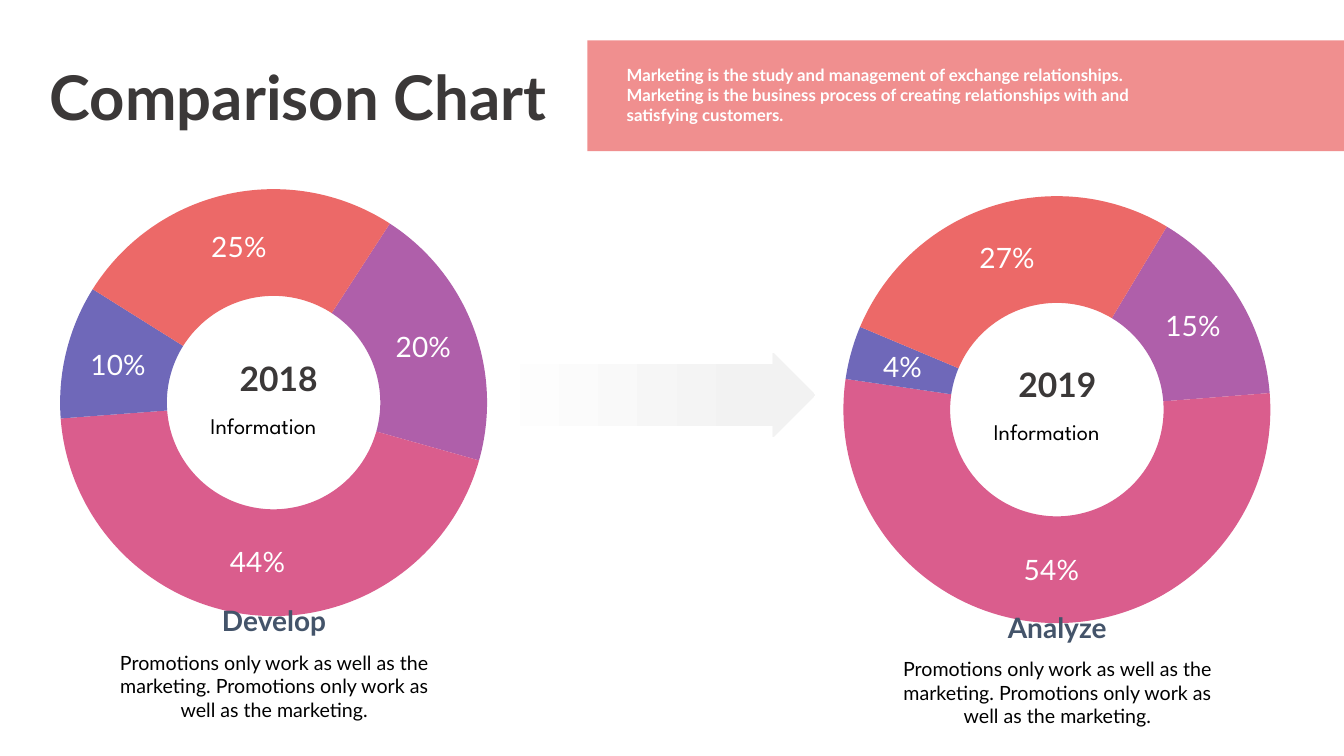
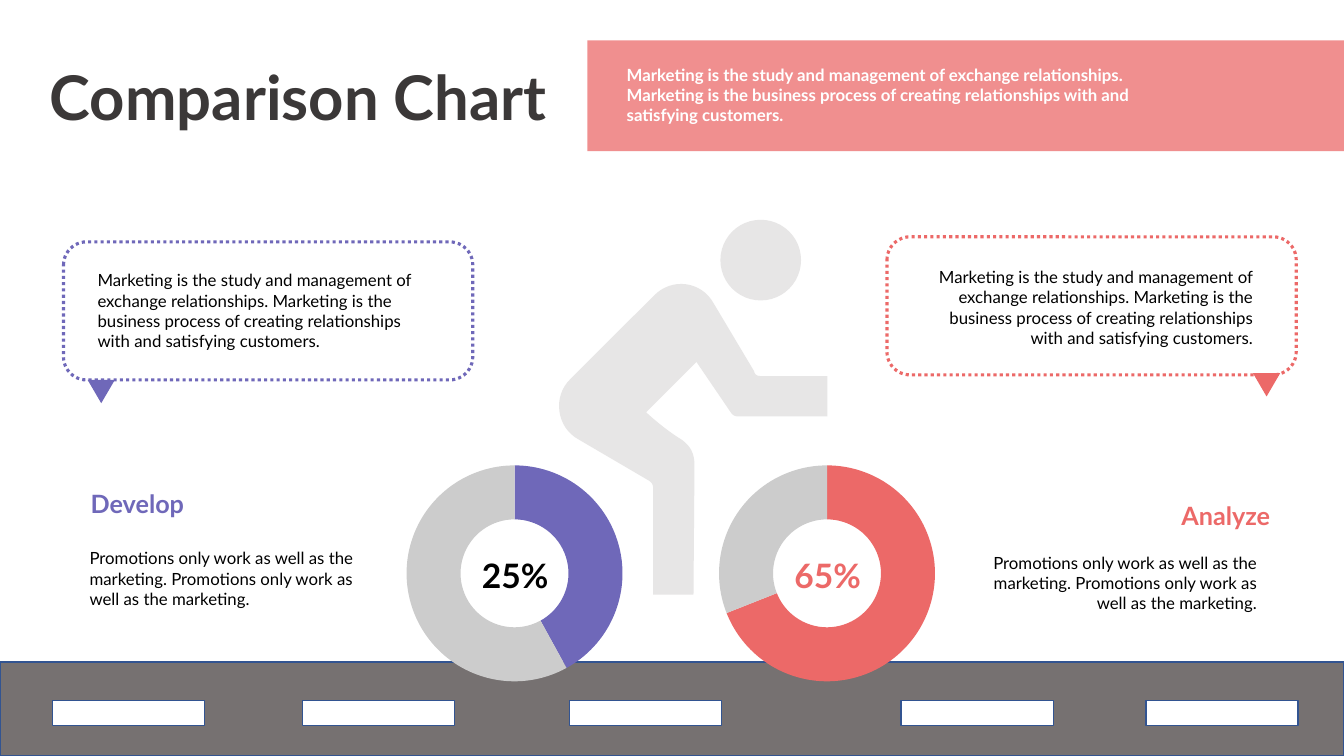
from lxml.etree import SubElement
from pptx import Presentation
from pptx.chart.data import CategoryChartData
from pptx.dml.color import RGBColor
from pptx.enum.chart import XL_CHART_TYPE as ChartType
from pptx.enum.dml import MSO_LINE as Dash
from pptx.enum.shapes import MSO_SHAPE as Preset
from pptx.enum.text import MSO_ANCHOR as Anchor, MSO_AUTO_SIZE as AutoSize, PP_ALIGN as Align
from pptx.oxml.ns import qn
from pptx.util import Pt

# Shared colours and wording
rgb = RGBColor.from_string
FONT = "Lato"
WHITE, BLACK, DARK, SLATE = "FFFFFF", "000000", "3B3838", "44546A"
CORAL, VIOLET, PURPLE, PINK = "EC6968", "6F68B9", "AF5FAA", "DA5D8D"
SILVER, PALE, ROAD, BLUE = "CCCCCC", "E7E6E6", "767171", "325491"
STUDY = ("Marketing is the study and management of exchange relationships. "
         "Marketing is the business process of creating relationships with "
         "and satisfying customers.")
PROMOTION = ("Promotions only work as well as the marketing. "
             "Promotions only work as well as the marketing.")


def paint(shape, fill=None, line=None, width=1):
    shape.shadow.inherit = False
    if fill:
        shape.fill.solid()
        shape.fill.fore_color.rgb = rgb(fill)
    else:
        shape.fill.background()
    if line:
        shape.line.color.rgb = rgb(line)
        shape.line.width = Pt(width)
    else:
        shape.line.fill.background()


def add_text(page, place, text, size, color, bold=False, align=Align.LEFT, font=FONT):
    box = page.shapes.add_textbox(*map(Pt, place))
    frame = box.text_frame
    frame.word_wrap = True
    frame.auto_size = AutoSize.SHAPE_TO_FIT_TEXT
    para = frame.paragraphs[0]
    para.alignment = align
    span = para.add_run()
    span.text = text
    span.font.name, span.font.size, span.font.bold = font, Pt(size), bold
    span.font.color.rgb = rgb(color)
    return box


deck = Presentation()
deck.slide_width, deck.slide_height = Pt(960), Pt(540)
title_only = deck.slide_layouts[5]
years_page, cyclist_page = pages = [deck.slides.add_slide(title_only) for _ in range(2)]

# Title and banner on both slides
for page in pages:
    title = page.shapes.title
    title.left, title.top, title.width, title.height = map(Pt, (17.3, 38.2, 391.7, 60.5))
    frame = title.text_frame
    frame.word_wrap = False
    frame.auto_size = AutoSize.NONE
    frame.vertical_anchor = Anchor.MIDDLE
    para = frame.paragraphs[0]
    para.alignment = Align.CENTER
    span = para.add_run()
    span.text = "Comparison Chart"
    span.font.name, span.font.size, span.font.bold = FONT, Pt(44), True
    span.font.color.rgb = rgb(DARK)

    banner = page.shapes.add_shape(Preset.RECTANGLE, *map(Pt, (419.5, 28.8, 540.5, 79.2)))
    paint(banner, CORAL)
    banner_color = banner.fill._xPr.find(qn("a:solidFill"))[0]
    SubElement(banner_color, qn("a:alpha"), val="74000")
    add_text(page, (440.6, 42.5, 401, 51), STUDY, 12, WHITE, True)

# Fading arrow between the years
arrow = years_page.shapes.add_shape(Preset.RIGHT_ARROW, *map(Pt, (343.4, 252, 239, 60.5)))
paint(arrow, WHITE)
arrow.adjustments[0], arrow.adjustments[1] = 0.729, 0.5
arrow.fill.gradient()
arrow.fill.gradient_angle = 0
for stop, position, color in zip(arrow.fill.gradient_stops, (0, 0.82), (WHITE, "F2F2F2")):
    stop.position = position
    stop.color.rgb = rgb(color)

# Road with lane marks
road = cyclist_page.shapes.add_shape(Preset.RECTANGLE, *map(Pt, (0, 473, 960, 67)))
paint(road, ROAD, BLUE)
for left in (37.4, 216, 406.8, 643.7, 818.6):
    mark = cyclist_page.shapes.add_shape(Preset.RECTANGLE, *map(Pt, (left, 500.4, 108.7, 18)))
    paint(mark, WHITE, BLUE)

# Cyclist: pairs are corners, sextets are Bezier curves
body_outline = [
    (591, 297.4), (527, 297.4), (524.9, 297.4, 523.4, 296.6, 522, 294.5),
    (497.5, 258.5), (461.5, 294.5), (468.7, 301, 477.4, 308.2, 486.7, 313.9),
    (493.9, 319, 496.1, 324.7, 496.1, 332.6), (495.4, 424.8), (466.6, 424.8),
    (466.6, 349.2), (466.6, 346.3, 465.8, 344.9, 463.7, 343.4), (413.3, 313.9),
    (397.4, 305.3, 394.6, 283, 407.5, 270.7), (467.3, 211),
    (480.2, 198, 501.1, 200.9, 509.8, 216.7), (538.6, 265),
    (539.3, 267.8, 540.7, 268.6, 543.6, 268.6),
]
STEPS = 16
points = [(591, 268.6)]
for part in body_outline:
    if len(part) == 2:
        points.append(part)
        continue
    x0, y0 = points[-1]
    x1, y1, x2, y2, x3, y3 = part
    for step in range(1, STEPS + 1):
        t = step / STEPS
        a, b, c, d = (1 - t) ** 3, 3 * t * (1 - t) ** 2, 3 * t * t * (1 - t), t ** 3
        points.append((a * x0 + b * x1 + c * x2 + d * x3,
                       a * y0 + b * y1 + c * y2 + d * y3))
points = [(Pt(x), Pt(y)) for x, y in points]
builder = cyclist_page.shapes.build_freeform(*points[0])
builder.add_line_segments(points[1:], close=True)
paint(builder.convert_to_shape(), PALE)
head = cyclist_page.shapes.add_shape(Preset.OVAL, *map(Pt, (514.6, 157, 57.6, 57.6)))
paint(head, PALE)

# Doughnut charts: page, place, diameter, start angle, hole, values, colours
year_colors = (PURPLE, PINK, VIOLET, CORAL)
donuts = [
    (years_page, (22.3, 125.3, 346.3, 324.7), 305, 33, 59, (20, 44, 10, 25), year_colors),
    (years_page, (581.8, 130.3, 346.3, 324.7), 305, 31, 59, (15, 53, 4, 27), year_colors),
    (cyclist_page, (274.3, 322.5, 186.5, 174.2), 154.3, 0, 80, (42, 58), (VIOLET, SILVER)),
    (cyclist_page, (497.5, 322.5, 186.5, 174.2), 154.3, 0, 80, (69, 31), (CORAL, SILVER)),
]
for page, place, diameter, start, hole, values, colors in donuts:
    data = CategoryChartData()
    data.categories = [str(number + 1) for number in range(len(values))]
    data.add_series("Series 1", values)
    chart = page.shapes.add_chart(ChartType.DOUGHNUT, *map(Pt, place), data).chart
    chart.has_legend = chart.has_title = False
    chart.font.name, chart.font.size = FONT, Pt(20)
    chart.font.color.rgb = rgb(WHITE)
    plot = chart.plots[0]
    plot.vary_by_categories = True
    for number, color in enumerate(colors):
        style = plot.series[0].points[number].format
        style.fill.solid()
        style.fill.fore_color.rgb = rgb(color)
        style.line.fill.background()
    plot.has_data_labels = page is years_page
    if plot.has_data_labels:
        labels = plot.data_labels
        labels.show_percentage, labels.show_value = True, False
        labels.number_format, labels.number_format_is_linked = "0%", False
        labels.font.name, labels.font.size = FONT, Pt(20)
        labels.font.color.rgb = rgb(WHITE)

    # Ring angle, hole and centred plot area
    ring = plot._element
    ring.find(qn("c:firstSliceAng")).set("val", str(start))
    ring.find(qn("c:holeSize")).set("val", str(hole))
    area = ring.getparent()
    for old in area.findall(qn("c:layout")):
        area.remove(old)
    layout = SubElement(area, qn("c:layout"))
    area.insert(0, layout)
    manual = SubElement(layout, qn("c:manualLayout"))
    wide, high = diameter / place[2], diameter / place[3]
    for tag, value in (("layoutTarget", "inner"), ("xMode", "edge"), ("yMode", "edge"),
                       ("x", (1 - wide) / 2), ("y", (1 - high) / 2),
                       ("w", wide), ("h", high)):
        SubElement(manual, qn("c:" + tag), val=str(value))

# Captions of the two years
for dx, dy, year, year_align, heading in (
        (0, 0, "2018", Align.RIGHT, "Develop"),
        (559.4, 4.7, "2019", Align.CENTER, "Analyze")):
    info = add_text(years_page, (143.3 + dx, 272.2 + dy, 105, 41.8), "Information", 16,
                    BLACK, font="League Spartan")
    info.text_frame.vertical_anchor = Anchor.MIDDLE
    info.text_frame.paragraphs[0].line_spacing = Pt(40.8)
    add_text(years_page, (157.7 + dx, 252 + dy, 76.3, 36), year, 24, DARK, True, year_align)
    add_text(years_page, (143.3 + dx, 427.7 + dy, 105, 31.7), heading, 20, SLATE, True,
             Align.CENTER)
    add_text(years_page, (73.4 + dx, 461.2 + dy, 245, 58.3), PROMOTION, 14, BLACK,
             align=Align.CENTER)

# Speech bubbles, side texts and wheel shares
sides = [
    (VIOLET, Align.LEFT, (45.4, 172.8), (62.6, 271.4), (62.6, 189.4),
     "Develop", (57.6, 345.6), (56.9, 388), "25%", 324, BLACK),
    (CORAL, Align.RIGHT, (633.6, 169.2), (895, 266.6), (648, 187.2),
     "Analyze", (756.7, 354.2), (698.4, 391), "65%", 547.2, CORAL),
]
for (color, align, bubble_at, tip_at, study_at, heading, heading_at, promotion_at,
     share, share_left, share_color) in sides:
    tip = cyclist_page.shapes.add_shape(Preset.ISOSCELES_TRIANGLE, *map(Pt, (*tip_at, 19.4, 16.6)))
    tip.rotation = 180
    paint(tip, color)
    bubble = cyclist_page.shapes.add_shape(Preset.ROUNDED_RECTANGLE,
                                           *map(Pt, (*bubble_at, 292.3, 98.6)))
    paint(bubble, None, color, 2.25)
    bubble.line.dash_style = Dash.ROUND_DOT
    add_text(cyclist_page, (*study_at, 254.2, 65.5), STUDY, 12, BLACK, align=align)
    add_text(cyclist_page, (*heading_at, 157.7, 28.8), heading, 18, color, True, align)
    add_text(cyclist_page, (*promotion_at, 206.6, 51), PROMOTION, 12, BLACK, align=align)
    add_text(cyclist_page, (share_left, 393, 87.8, 36), share, 24, share_color, True,
             Align.CENTER)

deck.save("out.pptx")
